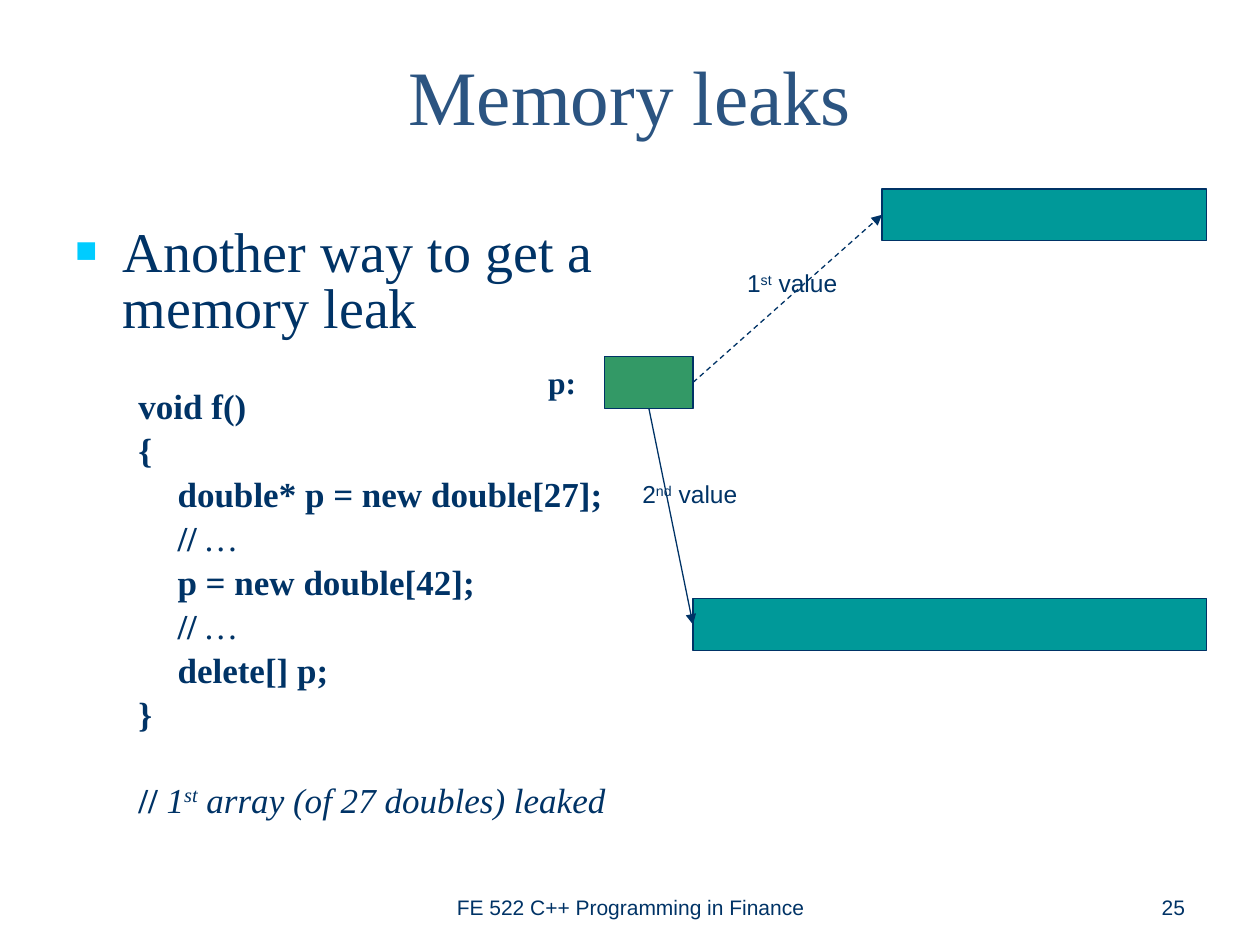
from pptx import Presentation
from pptx import util as u
from pptx.dml.color import RGBColor
from pptx.enum import dml, shapes, text
from pptx.oxml import ns, xmlchemy as xc

NAVY = RGBColor(0x00, 0x33, 0x66)
STEEL = RGBColor(0x2B, 0x54, 0x81)
GREEN = RGBColor(0x33, 0x99, 0x66)
TEAL = RGBColor(0x00, 0x99, 0x99)
CYAN = RGBColor(0x00, 0xCC, 0xFF)
SERIF, SANS = "Times New Roman", "Arial"
LEFT, MID, RIGHT = text.PP_ALIGN.LEFT, text.PP_ALIGN.CENTER, text.PP_ALIGN.RIGHT
TOP, LOW = text.MSO_ANCHOR.TOP, text.MSO_ANCHOR.BOTTOM


def child(node, tag, **attrs):
    item = xc.OxmlElement(tag)
    for key, val in attrs.items():
        item.set(key, val)
    node.append(item)
    return item


class Deck:
    edge = u.Pt(0.75)
    pace = 0.84

    def __init__(self, slide):
        self.slide = slide

    def box(self, x, y, w, h, anchor=TOP):
        frame = self.slide.shapes.add_textbox(u.Cm(x), u.Cm(y), u.Cm(w), u.Cm(h)).text_frame
        frame.word_wrap = True
        frame.vertical_anchor = anchor
        return frame

    def letter(self, para, runs, size, face, color=NAVY, align=LEFT):
        para.alignment = align
        for words, marks in runs:
            run = para.add_run()
            run.text = words
            font = run.font
            font.size, font.name = u.Pt(size), face
            font.color.rgb = color
            font.bold, font.italic = "b" in marks, "i" in marks
            if "^" in marks:
                run._r.get_or_add_rPr().set("baseline", "30000")

    def label(self, spot, runs, size, face, color=NAVY, align=LEFT, anchor=TOP):
        frame = self.box(*spot, anchor)
        self.letter(frame.paragraphs[0], runs, size, face, color, align)

    def space(self, para, before, left, hang):
        para.line_spacing = self.pace
        para.space_before = u.Pt(before)
        props = para._p.get_or_add_pPr()
        props.set("marL", str(u.Cm(left)))
        props.set("indent", str(-u.Cm(hang)))
        return props

    def bullet(self, para, words, size):
        props = self.space(para, 8, 0.96, 0.96)
        child(child(props, "a:buClr"), "a:srgbClr", val=str(CYAN))
        child(props, "a:buSzPct", val="65000")
        child(props, "a:buFont", typeface=SANS)
        child(props, "a:buChar", char="■")
        self.letter(para, [(words, "")], size, SERIF)

    def code(self, frame, lines, size):
        for gap, runs in lines:
            para = frame.add_paragraph()
            child(self.space(para, gap, 2.06, 0.79), "a:buNone")
            self.letter(para, runs, size, SERIF)

    def block(self, x, y, w, fill):
        rect = self.slide.shapes.add_shape(
            shapes.MSO_SHAPE.RECTANGLE, u.Cm(x), u.Cm(y), u.Cm(w), u.Cm(1.04))
        rect.shadow.inherit = False
        rect.fill.solid()
        rect.fill.fore_color.rgb = fill
        rect.line.color.rgb = NAVY
        rect.line.width = self.edge
        return rect

    def arrow(self, start, side, end, dash=None):
        link = self.slide.shapes.add_connector(shapes.MSO_CONNECTOR.STRAIGHT, 0, 0, 0, 0)
        link.begin_connect(start, side)
        link.end_connect(end, 1)
        link.line.color.rgb = NAVY
        link.line.width = self.edge
        if dash:
            link.line.dash_style = dash
        child(link.line._get_or_add_ln(), "a:tailEnd", type="triangle")
        child(link._element.find(ns.qn("p:spPr")), "a:effectLst")


def main():
    prs = Presentation()
    prs.slide_width, prs.slide_height = u.Cm(25.4), u.Cm(19.05)
    deck = Deck(prs.slides.add_slide(prs.slide_layouts[6]))

    deck.label((1.27, 0, 22.86, 3.81), [("Memory leaks", "")], 44, SERIF, STEEL,
               MID, text.MSO_ANCHOR.MIDDLE)

    body = deck.box(1.27, 4.45, 11.86, 13.54)
    deck.bullet(body.paragraphs[0], "Another way to get a memory leak", 32)
    near, far = 5, 29.2
    dots = [("\t// ", "b"), ("…", "i")]
    deck.code(body, [
        (far, [("void f()", "b")]),
        (near, [("{", "b")]),
        (near, [("\tdouble* p = new double[27];", "b")]),
        (near, dots),
        (near, [("\tp = new double[42];", "b")]),
        (near, dots),
        (near, [("\tdelete[] p;", "b")]),
        (near, [("}", "b")]),
        (far, [("// ", "b"), ("1", "i"), ("st", "i^"), (" array (of 27 doubles) leaked", "i")]),
    ], 20)

    deck.label((10.8, 7.19, 1.8, 1.02), [("p:", "b")], 18, SERIF)
    cell = deck.block(12.19, 7.19, 1.78, GREEN)
    second = deck.block(13.97, 12.07, 10.36, TEAL)
    first = deck.block(17.78, 3.81, 6.55, TEAL)
    deck.arrow(cell, 3, first, dml.MSO_LINE.DASH)
    deck.arrow(cell, 2, second)

    for spot, digit, tail in (((12.7, 9.53, 4.65, 0.86), "2", "nd"),
                              ((14.81, 5.28, 4.01, 0.86), "1", "st")):
        deck.label(spot, [(digit, ""), (tail, "^"), (" value", "")], 14, SANS)

    deck.label((8.69, 17.35, 8.05, 1.32), [("FE 522 C++ Programming in Finance", "")],
               12, SANS, align=MID, anchor=LOW)
    deck.label((18.21, 17.35, 5.93, 1.32), [("25", "")], 12, SANS, align=RIGHT, anchor=LOW)
    prs.save("out.pptx")


if __name__ == "__main__":
    main()
